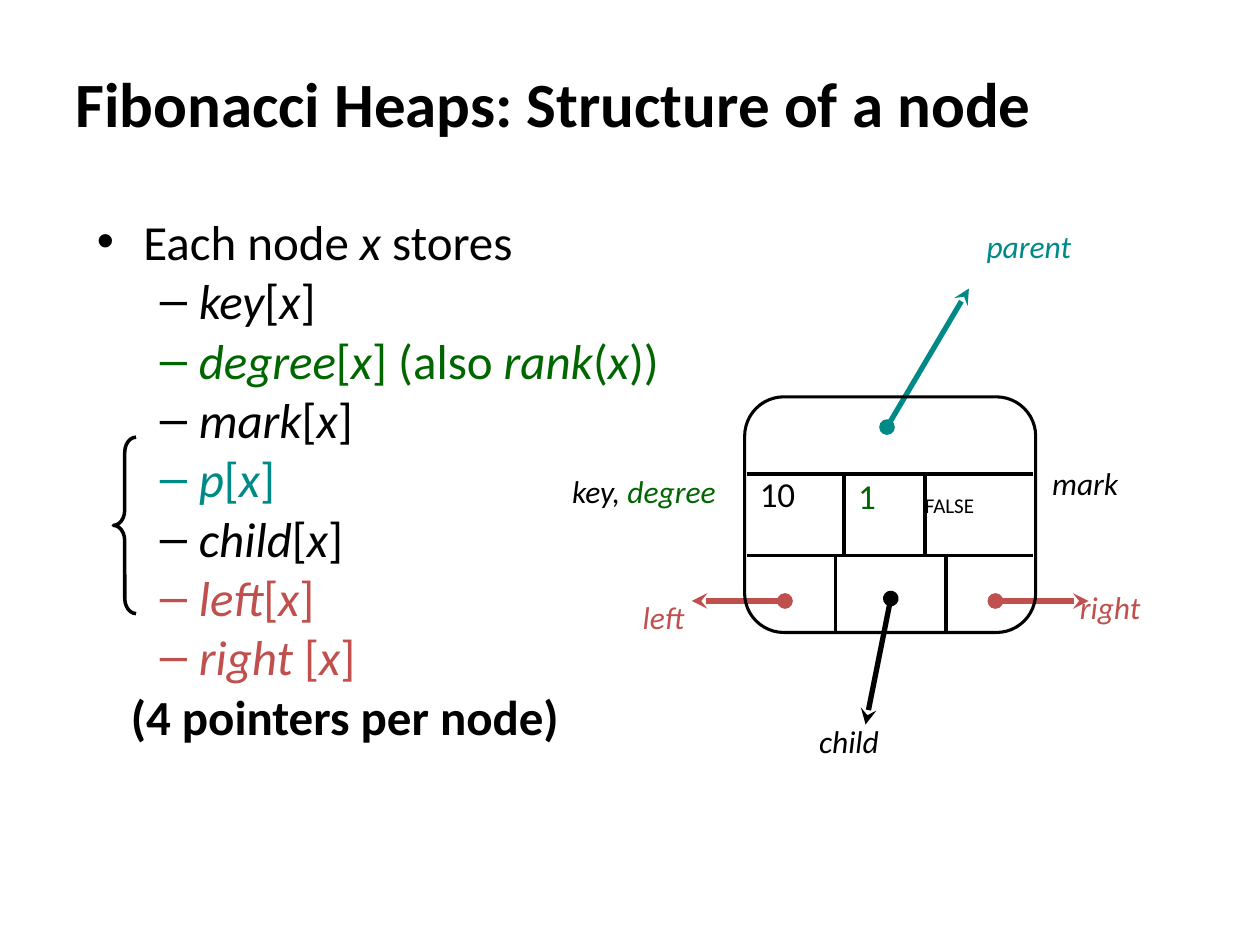
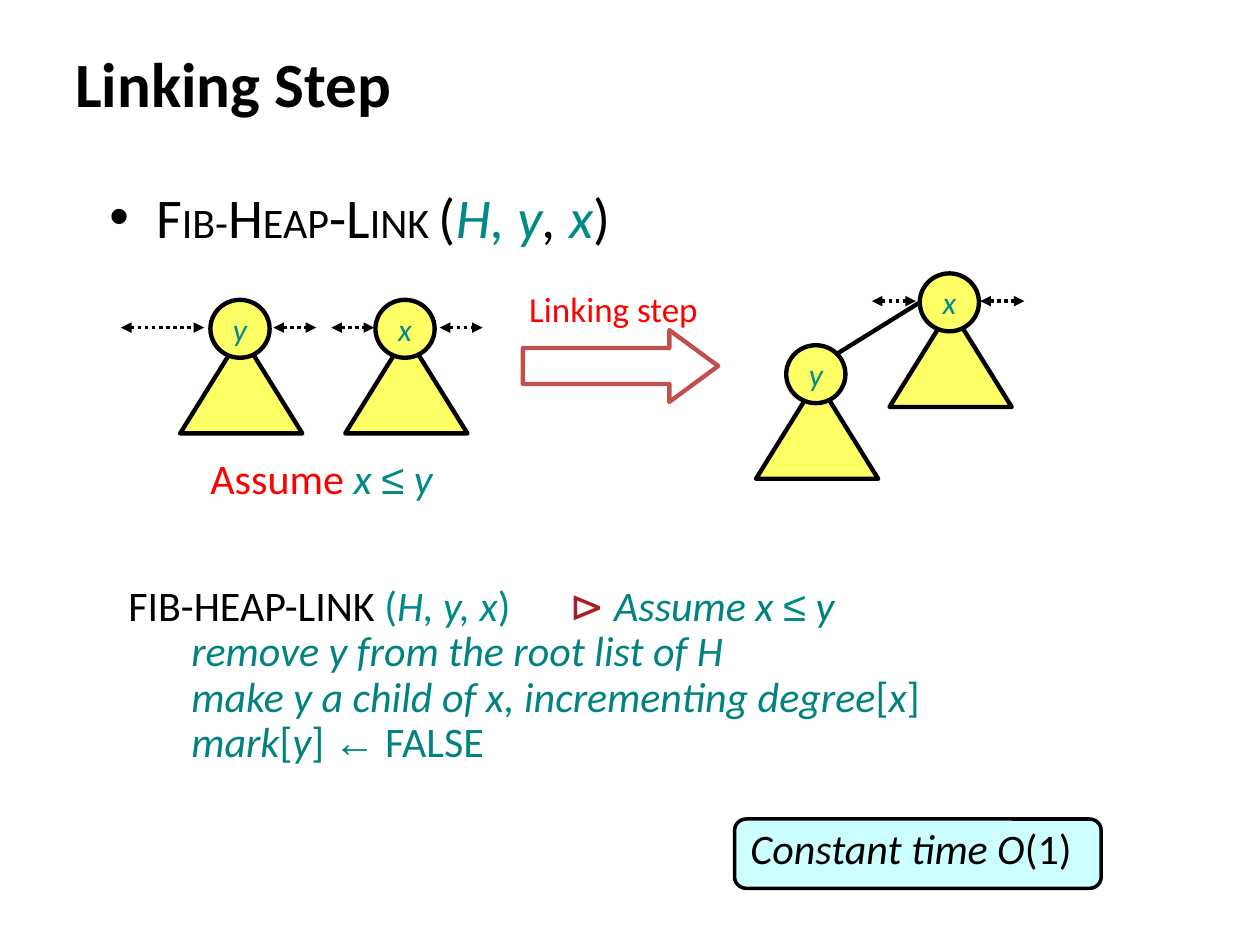
from lxml import etree
from pptx import Presentation
from pptx import util as u
from pptx.dml.color import RGBColor
from pptx.enum import dml, shapes, text
from pptx.oxml.ns import qn

BLACK = RGBColor(0, 0, 0)
TEAL = RGBColor(0x00, 0x8A, 0x87)
DEEP = RGBColor(0x00, 0x83, 0x80)
GREEN = RGBColor(0x00, 0x66, 0x00)
ROSE = RGBColor(0xC0, 0x50, 0x4D)
WINE = RGBColor(0xA8, 0x1E, 0x25)
RED = RGBColor(0xFF, 0, 0)
YELLOW = RGBColor(0xFF, 0xFF, 0x66)
AQUA = RGBColor(0xCC, 0xFF, 0xFF)

KIND = shapes.MSO_SHAPE
ALIGN = text.PP_ALIGN
ANCHOR = text.MSO_ANCHOR


class Deck:
    """Holds the shared style and the current slide, and draws each kind of element."""

    def __init__(self):
        self.prs = Presentation()
        self.prs.slide_width, self.prs.slide_height = u.Inches(10), u.Inches(7.5)

    def page(self, title, high):
        self.slide = self.prs.slides.add_slide(self.prs.slide_layouts[6])
        box = self.box(0.5, 0.3, 9, high)
        box.vertical_anchor = ANCHOR.MIDDLE
        self.para(box, [(title, BLACK)], 36, bold=True)

    def box(self, x, y, w, h, pad=0.1):
        item = self.slide.shapes.add_textbox(*map(u.Inches, (x, y, w, h)))
        frame = item.text_frame
        frame.word_wrap = True
        frame.margin_left = frame.margin_right = u.Inches(pad)
        return frame

    def para(self, frame, parts, size, bold=False, left=0, hang=0, mark=None,
             tab=None, level=0, gap=0, lead=1, align=ALIGN.LEFT):
        """Add a paragraph of (text, colour, size) parts; asterisks toggle italics."""
        first = not frame.paragraphs[0].runs
        par = frame.paragraphs[0] if first else frame.add_paragraph()
        ppr = par._p.get_or_add_pPr()
        ppr.set("marL", str(u.Inches(left)))
        ppr.set("indent", str(u.Inches(-hang)))
        if mark:
            tint = etree.SubElement(ppr, qn("a:buClr"))
            etree.SubElement(tint, qn("a:srgbClr"), val=str(parts[0][1]))
            etree.SubElement(ppr, qn("a:buFont"), typeface="Arial")
            etree.SubElement(ppr, qn("a:buChar"), char=mark)
        if tab:
            tabs = etree.SubElement(ppr, qn("a:tabLst"))
            etree.SubElement(tabs, qn("a:tab"), pos=str(u.Inches(tab)), algn="l")
        par.level, par.alignment, par.line_spacing = level, align, lead
        par.space_before = u.Pt(0 if first else gap)
        for words, color, *own in parts:
            for i, piece in enumerate(words.split("*")):
                if piece:
                    run = par.add_run()
                    run.text = piece
                    font = run.font
                    font.name = "Arial" if piece in "≤←" else "Calibri"
                    font.size = u.Pt(own[0] if own else size)
                    font.bold, font.italic = bold, i % 2 == 1
                    font.color.rgb = color

    def label(self, x, y, w, parts, size=18, align=ALIGN.LEFT):
        self.para(self.box(x, y, w, 0.4, 0.05), parts, size, align=align)

    def shape(self, kind, x, y, w, h, line=BLACK, width=2.5, fill=None):
        item = self.slide.shapes.add_shape(kind, *map(u.Inches, (x, y, w, h)))
        item.shadow.inherit = False
        if fill is None:
            item.fill.background()
        else:
            item.fill.solid()
            item.fill.fore_color.rgb = fill
        item.line.color.rgb = line
        item.line.width = u.Pt(width)
        return item

    def line(self, x1, y1, x2, y2, color=BLACK, width=2, head=None, tail=None, dots=False):
        link = self.slide.shapes.add_connector(
            shapes.MSO_CONNECTOR.STRAIGHT, *map(u.Inches, (x1, y1, x2, y2)))
        link.line.color.rgb = color
        link.line.width = u.Pt(width)
        if dots:
            link.line.dash_style = dml.MSO_LINE.ROUND_DOT
        spr = link._element.spPr
        for tag, end in (("a:headEnd", head), ("a:tailEnd", tail)):
            if end:
                etree.SubElement(spr.find(qn("a:ln")), qn(tag), type=end)
        etree.SubElement(spr, qn("a:effectLst"))

    def tree(self, name, x, y):
        self.shape(KIND.ISOSCELES_TRIANGLE, x, y, 0.97, 0.78, fill=YELLOW)
        root = self.shape(KIND.OVAL, x + 0.24, y - 0.28, 0.47, 0.46, fill=YELLOW)
        frame = root.text_frame
        frame.word_wrap = False
        frame.vertical_anchor = ANCHOR.MIDDLE
        self.para(frame, [(f"*{name}*", TEAL)], 18, align=ALIGN.CENTER)

    def spans(self, y, pairs):
        for x1, x2 in pairs:
            self.line(x1, y, x2, y, head="triangle", tail="triangle", dots=True)


def node(deck):
    deck.page("Fibonacci Heaps: Structure of a node", 1.03)
    body = deck.box(0.67, 1.72, 4.74, 4.05)
    flow = dict(size=28, gap=7, lead=0.8)
    deck.para(body, [("Each node *x* stores", BLACK)], left=0.37, hang=0.37, mark="•", **flow)
    for words, color in (
        ("*key*[*x*]", BLACK),
        ("*degree*[*x*] (also *rank*(*x*))", GREEN),
        ("*mark*[*x*]", BLACK),
        ("*p*[*x*]", TEAL),
        ("*child*[*x*]", BLACK),
        ("*left*[*x*]", ROSE),
        ("*right* [*x*]", ROSE),
    ):
        deck.para(body, [(words, color)], left=0.81, hang=0.31, mark="–", level=1, **flow)
    deck.para(body, [("(4 pointers per node)", BLACK)], bold=True, left=0.27, **flow)

    brace = deck.shape(KIND.LEFT_BRACE, 0.9, 3.47, 0.18, 1.4, width=2)
    brace.adjustments[0] = 0.67

    for ends, color in (
        ((7.04, 3.39, 7.69, 2.29), TEAL),
        ((7.9, 4.77, 8.64, 4.77), ROSE),
        ((7.07, 4.75, 6.87, 5.75), BLACK),
        ((6.23, 4.77, 5.49, 4.77), ROSE),
    ):
        deck.line(*ends, color, 3, head="oval", tail="stealth")
    for x, y, w, words, color in (
        (7.78, 1.75, 1.19, "parent", TEAL),
        (8.52, 4.62, 0.98, "right", ROSE),
        (6.45, 5.68, 1.19, "child", BLACK),
        (8.3, 3.63, 0.99, "mark", BLACK),
        (5.05, 4.7, 0.68, "left", ROSE),
    ):
        deck.label(x, y, w, [(f"*{words}*", color)])
    deck.label(3.75, 3.7, 1.98, [("*key, *", BLACK), ("*degree*", GREEN)], align=ALIGN.RIGHT)

    deck.shape(KIND.ROUNDED_RECTANGLE, 5.91, 3.15, 2.31, 1.87, width=1.75)
    for y in (3.76, 4.41):
        deck.line(5.93, y, 8.2, y)
    for x, top, end in ((6.7, 3.76, 4.4), (7.34, 3.76, 4.4), (6.63, 4.4, 5.03), (7.51, 4.4, 5.03)):
        deck.line(x, top, x, end)
    deck.label(5.98, 3.7, 0.55, [("10", BLACK)], 20)
    deck.label(6.76, 3.72, 0.52, [("1", GREEN)], 20)
    deck.label(7.29, 3.86, 0.98, [("FALSE", BLACK)], 12)


def link(deck):
    deck.page("Linking Step", 0.7)
    head = [("F", BLACK), ("IB-", BLACK, 24), ("H", BLACK), ("EAP", BLACK, 24),
            ("-L", BLACK), ("INK ", BLACK, 24), ("(", BLACK), ("*H, y*", TEAL),
            ("*, *", BLACK), ("*x*", TEAL), (")", BLACK)]
    deck.para(deck.box(0.77, 1.4, 8.53, 0.9), head, 32, left=0.37, hang=0.37, mark="•")

    arrow = deck.shape(KIND.RIGHT_ARROW, 4.15, 2.62, 1.55, 0.57, line=ROSE)
    arrow.adjustments[1] = 0.68
    deck.label(4.15, 2.23, 1.65, [("Linking step", RED)], 20)

    code = deck.box(0.92, 4.61, 6.95, 1.53)
    flow = dict(size=24, gap=1.5, lead=0.85)
    deck.para(code, [("FIB-HEAP-LINK ", BLACK), ("(*H, y, x*)\t", TEAL), ("⊳ ", WINE),
                     ("*Assume x *", DEEP), ("≤", TEAL), ("* y*", DEEP)], tab=3.42, **flow)
    for parts in (
        ["*remove y from the root list of H*"],
        ["*make y a child of x, incrementing degree*[*x*]"],
        ["*mark*[*y*] ", "←", " FALSE"],
    ):
        deck.para(code, [(words, DEEP) for words in parts], left=0.5, level=1, **flow)

    note = deck.shape(KIND.ROUNDED_RECTANGLE, 5.83, 6.5, 2.91, 0.55, width=2, fill=AQUA)
    note.text_frame.vertical_anchor = ANCHOR.TOP
    deck.para(note.text_frame, [("*Constant time O*(1)", BLACK)], 24, lead=0.9)

    deck.label(1.62, 3.54, 2.09, [("Assume ", RED), ("*x *", TEAL), ("≤", TEAL), ("* y*", TEAL)], 24)
    deck.line(6.64, 2.81, 7.3, 2.4, width=2.5)
    for name, x, y in (("y", 1.43, 2.66), ("x", 2.74, 2.66), ("y", 6, 3.02), ("x", 7.06, 2.45)):
        deck.tree(name, x, y)
    deck.spans(2.6, ((0.96, 1.62), (2.17, 2.51), (2.63, 2.97), (3.49, 3.83)))
    deck.spans(2.39, ((6.92, 7.27), (7.78, 8.13)))


def main():
    deck = Deck()
    node(deck)
    link(deck)
    deck.prs.save("out.pptx")


if __name__ == "__main__":
    main()
